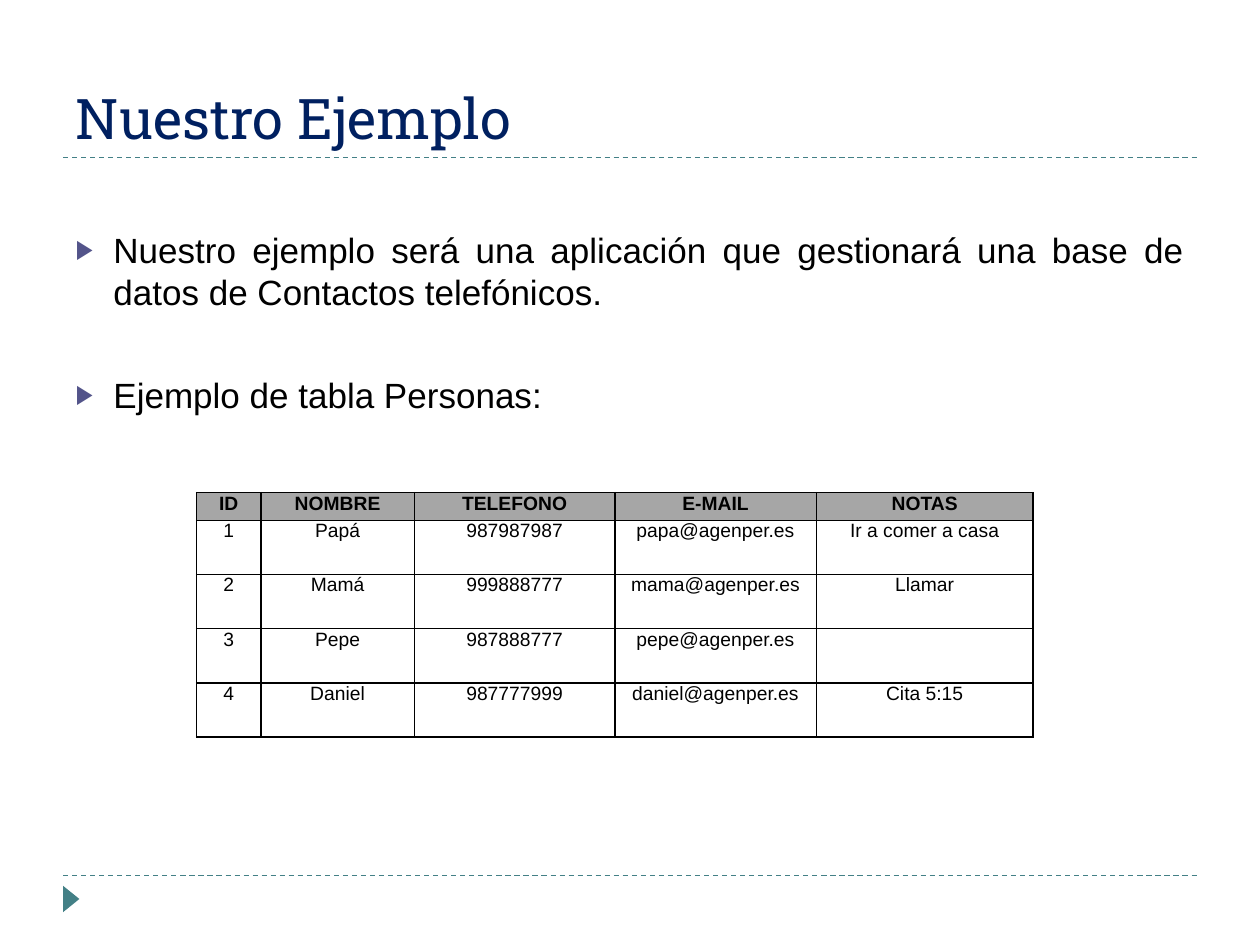
"""Build a slide that presents an example contacts table."""
from lxml import etree
from pptx import Presentation
from pptx import util as u
from pptx.dml import color
from pptx.enum import dml, shapes, text
from pptx.oxml import ns

COLORS = {"navy": "002060", "black": "000000", "teal": "438086",
          "violet": "53548A", "gray": "A6A6A6"}
POINTS = ["Nuestro ejemplo será una aplicación que gestionará una base de datos "
          "de Contactos telefónicos.",
          "Ejemplo de tabla Personas:"]
PEOPLE = [["ID", "NOMBRE", "TELEFONO", "E-MAIL", "NOTAS"],
          ["1", "Papá", "987987987", "papa@agenper.es", "Ir a comer a casa"],
          ["2", "Mamá", "999888777", "mama@agenper.es", "Llamar"],
          ["3", "Pepe", "987888777", "pepe@agenper.es", ""],
          ["4", "Daniel", "987777999", "daniel@agenper.es", "Cita 5:15"]]
COLUMN_WIDTHS = [0.51, 1.22, 1.59, 1.6, 1.72]
ROW_HEIGHTS = [0.22] + [0.43] * 4


def rgb(name):
    """Return the named colour."""
    return color.RGBColor.from_string(COLORS[name])


def assign(target, values):
    """Set each attribute of the target from a dict."""
    for key, value in values.items():
        setattr(target, key, value)


def place(part, box):
    """Move a part to a box given in inches."""
    assign(part, dict(zip(("left", "top", "width", "height"), map(u.Inches, box))))


def style_font(font, name, size, tint, bold=False):
    """Apply a typeface, size, colour and weight."""
    assign(font, {"name": name, "size": u.Pt(size), "bold": bold})
    font.color.rgb = rgb(tint)


def add_element(parent, tag, **attributes):
    """Append a drawing element with attributes."""
    return etree.SubElement(parent, ns.qn("a:" + tag), attributes)


def add_rule(slide, left, top, width):
    """Draw a dashed horizontal rule."""
    rule = slide.shapes.add_connector(
        shapes.MSO_CONNECTOR.STRAIGHT, u.Inches(left), u.Inches(top),
        u.Inches(left + width), u.Inches(top))
    rule.line.color.rgb = rgb("teal")
    assign(rule.line, {"width": u.Pt(0.75), "dash_style": dml.MSO_LINE.DASH})
    add_element(rule._element.spPr, "effectLst")


def add_marker(slide, box):
    """Draw the footer triangle pointing right."""
    marker = slide.shapes.add_shape(
        shapes.MSO_SHAPE.ISOSCELES_TRIANGLE, *map(u.Inches, box))
    marker.rotation = 90
    marker.shadow.inherit = False
    marker.fill.solid()
    marker.fill.fore_color.rgb = rgb("teal")
    marker.line.fill.background()


def fill_title(slide, box):
    """Write the heading in the title placeholder."""
    heading = slide.shapes.title
    place(heading, box)
    frame = heading.text_frame
    frame.text = "Nuestro Ejemplo"
    assign(frame, {"vertical_anchor": text.MSO_ANCHOR.BOTTOM, "word_wrap": True,
                   "auto_size": text.MSO_AUTO_SIZE.NONE})
    frame.paragraphs[0].alignment = text.PP_ALIGN.LEFT
    style_font(frame.paragraphs[0].runs[0].font, "Roboto Slab", 32, "navy")


def fill_points(slide, box):
    """Write the bulleted points in the body placeholder."""
    points = slide.placeholders[1]
    place(points, box)
    frame = points.text_frame
    frame.text = "\n".join(POINTS)
    assign(frame, {"margin_top": u.Inches(0.48), "word_wrap": True,
                   "vertical_anchor": text.MSO_ANCHOR.TOP,
                   "auto_size": text.MSO_AUTO_SIZE.NONE})
    for index, point in enumerate(frame.paragraphs):
        assign(point, {"alignment": text.PP_ALIGN.JUSTIFY,
                       "space_before": u.Pt(35 * index)})
        style_font(point.runs[0].font, "Arial", 20, "black")
        layout = point._p.get_or_add_pPr()
        layout.set("marL", str(u.Inches(0.3)))
        layout.set("indent", str(-u.Inches(0.3)))
        add_element(add_element(layout, "buClr"), "srgbClr", val=COLORS["violet"])
        add_element(layout, "buSzPct", val="76000")
        add_element(layout, "buFont", typeface="Arial")
        add_element(layout, "buChar", char="▶")


def border_cell(cell):
    """Draw thin black lines on all four sides of a cell."""
    properties = cell._tc.get_or_add_tcPr()
    for side in ("lnL", "lnR", "lnT", "lnB"):
        edge = add_element(properties, side, w=str(u.Pt(1)))
        add_element(add_element(edge, "solidFill"), "srgbClr", val=COLORS["black"])


def fill_cell(cell, value, is_header):
    """Write and format one table cell."""
    border_cell(cell)
    if is_header:
        cell.fill.solid()
        cell.fill.fore_color.rgb = rgb("gray")
    else:
        cell.fill.background()
    assign(cell, {"margin_left": u.Inches(0.07), "margin_right": u.Inches(0.07),
                  "margin_top": 0, "margin_bottom": 0,
                  "vertical_anchor": text.MSO_ANCHOR.TOP})
    cell.text = value
    entry = cell.text_frame.paragraphs[0]
    entry.alignment = text.PP_ALIGN.CENTER
    for run in entry.runs:
        style_font(run.font, "Arial", 11, "black", is_header)


def add_people(slide, left, top):
    """Add the contacts table."""
    size = sum(COLUMN_WIDTHS), sum(ROW_HEIGHTS)
    people = slide.shapes.add_table(
        len(PEOPLE), len(PEOPLE[0]), *map(u.Inches, (left, top, *size))).table
    assign(people, {"first_row": False, "horz_banding": False})
    for column, width in zip(people.columns, COLUMN_WIDTHS):
        column.width = u.Inches(width)
    for index, (row, height) in enumerate(zip(people.rows, ROW_HEIGHTS)):
        row.height = u.Inches(height)
        for cell, value in zip(row.cells, PEOPLE[index]):
            fill_cell(cell, value, index == 0)


def build_slide(deck):
    """Lay out the whole slide."""
    slide = deck.slides.add_slide(deck.slide_layouts[1])
    for top in (6.95, 1.25):
        add_rule(slide, 0.5, top, 9)
    add_marker(slide, (0.46, 7.07, 0.21, 0.13))
    fill_title(slide, (0.5, 0.17, 9, 1.08))
    fill_points(slide, (0.5, 1.33, 9, 2.34))
    add_people(slide, 1.56, 3.91)


presentation = Presentation()
assign(presentation, {"slide_width": u.Inches(10), "slide_height": u.Inches(7.5)})
build_slide(presentation)
presentation.save("out.pptx")
